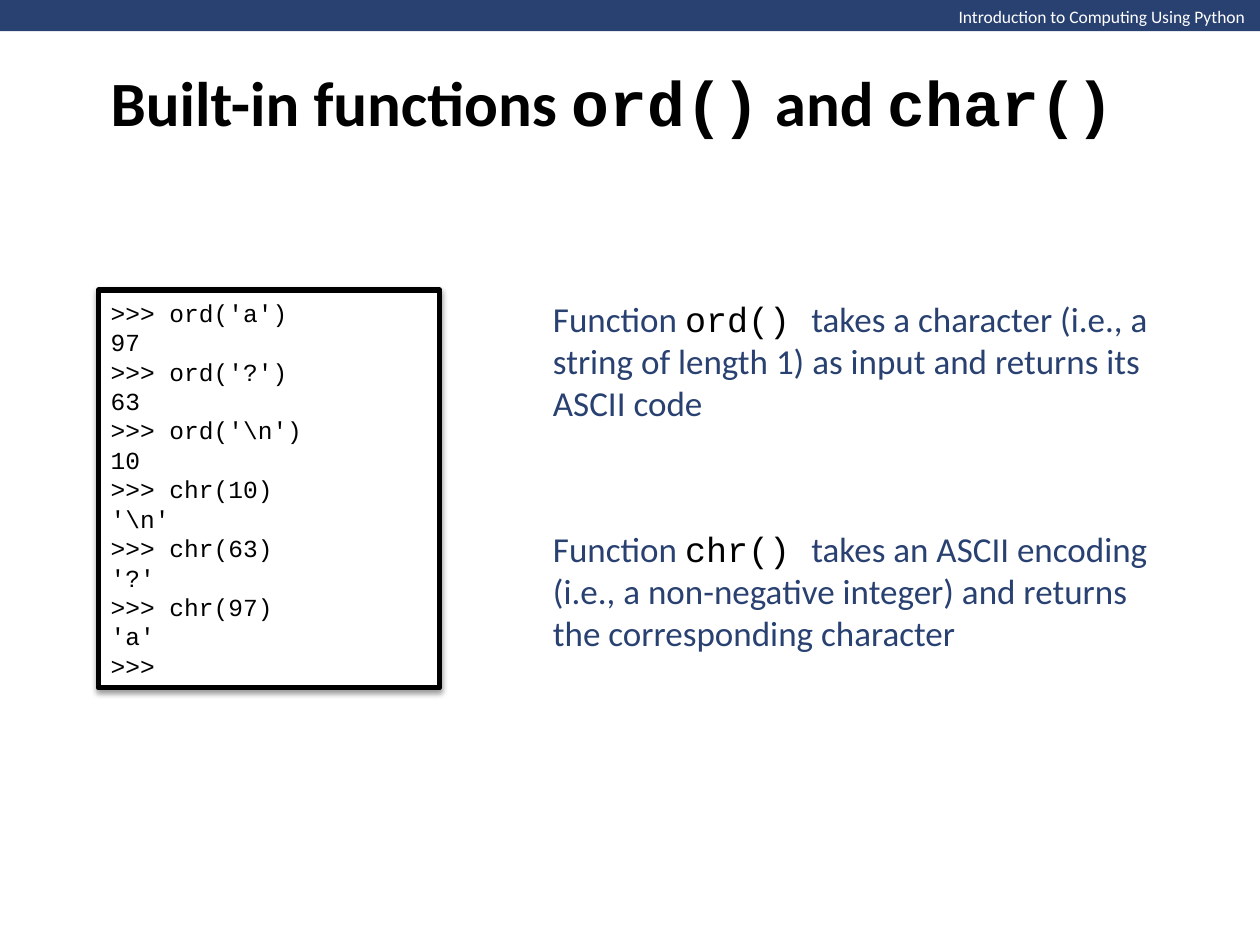
"""Build a slide on the Python functions that convert between characters and codes."""
from lxml import etree
from pptx import Presentation, util as u
from pptx.dml.color import RGBColor
from pptx.enum import shapes, text
from pptx.oxml import ns

NAVY, BLACK, WHITE = "294171", "000000", "FFFFFF"
BODY, CODE = "Calibri", "Courier New"
LEFT, TOP = 7.8, 30.7

presentation = Presentation()
presentation.slide_width, presentation.slide_height = u.Inches(10), u.Inches(7.5)
slide = presentation.slides.add_slide(presentation.slide_layouts[6])


def area(left, top, width, height):
    """Turn percentages of the slide into lengths."""
    sides = (presentation.slide_width, presentation.slide_height) * 2
    return [int(side * share / 100) for side, share in zip(sides, (left, top, width, height))]


def style(item, font, size, color, bold=False):
    """Set the font of a run."""
    item.font.name, item.font.size, item.font.bold = font, u.Pt(size), bold
    item.font.color.rgb = RGBColor.from_string(color)


session = r""">>> ord('a')
97
>>> ord('?')
63
>>> ord('\n')
10
>>> chr(10)
'\n'
>>> chr(63)
'?'
>>> chr(97)
'a'
>>>"""

code_box = slide.shapes.add_shape(shapes.MSO_SHAPE.RECTANGLE, *area(LEFT, TOP, 27.1, 42.1))
banner = slide.shapes.add_shape(shapes.MSO_SHAPE.RECTANGLE, *area(0, 0, 100, 3.3))
for shape, color in ((code_box, WHITE), (banner, NAVY)):
    shape.shadow.inherit = False
    shape.fill.solid()
    shape.fill.fore_color.rgb = RGBColor.from_string(color)
banner.line.fill.background()

code_box.line.color.rgb = RGBColor.from_string(BLACK)
code_box.line.width = u.Pt(3)
effects = code_box.element.spPr.find(ns.qn("a:effectLst"))
shadow = etree.SubElement(effects, ns.qn("a:outerShdw"), blurRad=str(u.Pt(3.1)),
                          dist=str(u.Pt(1.6)), dir="5400000", rotWithShape="0")
shadow_color = etree.SubElement(shadow, ns.qn("a:srgbClr"), val=BLACK)
etree.SubElement(shadow_color, ns.qn("a:alpha"), val="38000")

code_box.text_frame.text = session
code_box.text_frame.vertical_anchor = text.MSO_ANCHOR.MIDDLE
for paragraph in code_box.text_frame.paragraphs:
    paragraph.alignment = text.PP_ALIGN.LEFT
    for run in paragraph.runs:
        style(run, CODE, 14, BLACK)

course = slide.shapes.add_textbox(*area(75.1, 0, 25, 3.6))
course.text_frame.text = "Introduction to Computing Using Python"
course.text_frame.word_wrap = False
style(course.text_frame.paragraphs[0].runs[0], BODY, 10, WHITE)

mixed_texts = [
    (area(LEFT, 0, 85, 21.5), 36, BLACK, True,
     ["Built-in functions ", "ord()", " and ", "char()"]),
    (area(42.9, TOP, 49.9, 14.8), 20, NAVY, False,
     ["Function ", "ord() ", "takes a character (i.e., a string of length 1) "
      "as input and returns its ASCII code"]),
    (area(42.9, 55.1, 49.9, 14.8), 20, NAVY, False,
     ["Function ", "chr() ", "takes an ASCII encoding (i.e., a non-negative integer) "
      "and returns the corresponding character"]),
]
for place, size, color, bold, parts in mixed_texts:
    text_box = slide.shapes.add_textbox(*place)
    text_box.text_frame.word_wrap = True
    text_box.text_frame.vertical_anchor = text.MSO_ANCHOR.MIDDLE
    for index, part in enumerate(parts):
        run = text_box.text_frame.paragraphs[0].add_run()
        run.text = part
        is_code = index % 2 == 1
        style(run, CODE if is_code else BODY, size, BLACK if is_code else color, bold)

presentation.save("out.pptx")
